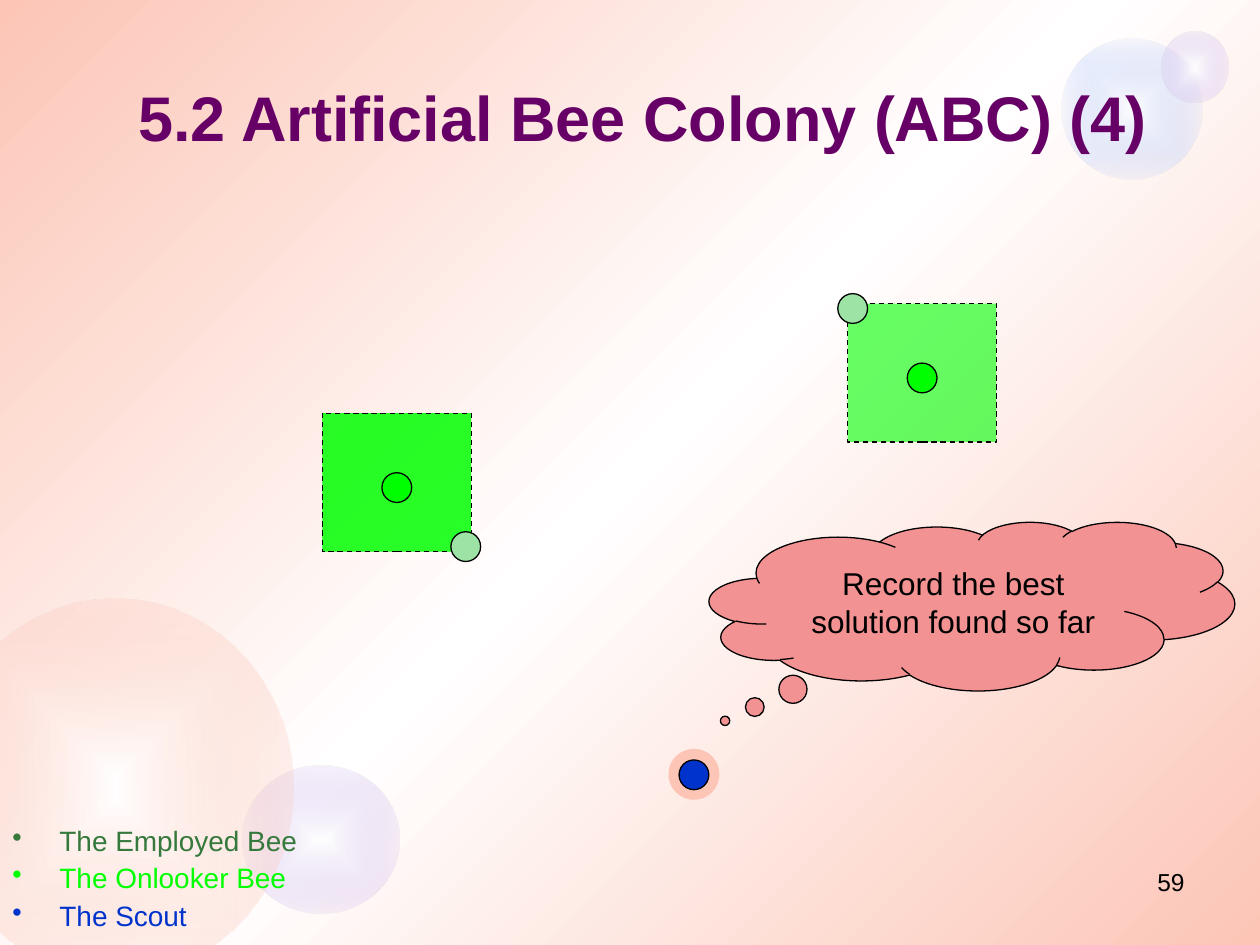
from dataclasses import dataclass
from typing import Optional

import lxml.etree
import pptx
import pptx.dml.color
import pptx.enum.dml
import pptx.enum.shapes
import pptx.enum.text
import pptx.oxml.ns
import pptx.util

Cm = pptx.util.Cm
Pt = pptx.util.Pt
qn = pptx.oxml.ns.qn
SHAPE = pptx.enum.shapes.MSO_SHAPE
ALIGN = pptx.enum.text.PP_ALIGN
ANCHOR = pptx.enum.text.MSO_ANCHOR


@dataclass(frozen=True)
class Theme:
    font: str = "Arial"
    title: str = "660066"
    ink: str = "000000"
    white: str = "FFFFFF"
    peach: str = "FCC5B6"
    lilac: str = "D1BCEE"
    sky: str = "A8C1FA"
    employed: str = "35793C"
    onlooker: str = "00FF00"
    scout: str = "0033CC"
    neighbour: str = "9DE3A5"
    thought: str = "F29292"
    title_size: int = 36
    thought_size: int = 18
    legend_size: int = 16
    number_size: int = 14
    outline: float = 0.75


@dataclass(frozen=True)
class Box:
    left: float
    top: float
    width: float
    height: float

    def lengths(self) -> tuple:
        return Cm(self.left), Cm(self.top), Cm(self.width), Cm(self.height)


@dataclass(frozen=True)
class Orb:
    box: Box
    colour: str
    opacity: int


@dataclass(frozen=True)
class FoodSite:
    left: float
    top: float
    layers: int
    neighbour_dx: float
    neighbour_dy: float


@dataclass(frozen=True)
class LegendEntry:
    text: str
    colour: str


THEME = Theme()
BEE = 0.6
SITE_WIDTH, SITE_HEIGHT = 3.0, 2.79
ONLOOKER_OFFSET = 1.2

ORBS = [
    Orb(Box(4.88, 15.44, 3.18, 2.97), THEME.lilac, 20),
    Orb(Box(-1.27, 12.07, 7.19, 7.62), THEME.peach, 24),
    Orb(Box(21.39, 0.79, 2.84, 2.82), THEME.sky, 10),
    Orb(Box(23.42, 0.64, 1.35, 1.42), THEME.lilac, 20),
]
SITES = [
    FoodSite(17.09, 6.12, 1, -0.2, -0.2),
    FoodSite(6.5, 8.33, 2, 2.59, 2.39),
]
LEGEND = [
    LegendEntry("The Employed Bee", THEME.employed),
    LegendEntry("The Onlooker Bee", THEME.onlooker),
    LegendEntry("The Scout", THEME.scout),
]


def rgb(colour: str) -> pptx.dml.color.RGBColor:
    return pptx.dml.color.RGBColor.from_string(colour)


def set_alpha(colour_element, percent: int) -> None:
    alpha = lxml.etree.SubElement(colour_element, qn("a:alpha"))
    alpha.set("val", str(percent * 1000))


def set_gradient(fill, owner, stops: list, angle: Optional[int] = None) -> None:
    fill.gradient()
    gradient = next(owner.iter(qn("a:gradFill")))
    for child in list(gradient):
        gradient.remove(child)
    stop_list = lxml.etree.SubElement(gradient, qn("a:gsLst"))
    for position, colour, opacity in stops:
        stop = lxml.etree.SubElement(stop_list, qn("a:gs"), pos=str(position * 1000))
        tint = lxml.etree.SubElement(stop, qn("a:srgbClr"), val=colour)
        if opacity < 100:
            set_alpha(tint, opacity)
    if angle is not None:
        lxml.etree.SubElement(gradient, qn("a:lin"), ang=str(angle * 60000), scaled="0")
    else:
        radial = lxml.etree.SubElement(gradient, qn("a:path"), {"path": "shape"})
        centre = {side: "50000" for side in "ltrb"}
        lxml.etree.SubElement(radial, qn("a:fillToRect"), centre)


def write(frame, text: str, *, size: float, colour: str = THEME.ink, bold: bool = False,
          align=ALIGN.LEFT, anchor=ANCHOR.TOP, bullet: bool = False,
          follows: bool = False) -> None:
    frame.word_wrap = True
    frame.vertical_anchor = anchor
    paragraph = frame.add_paragraph() if follows else frame.paragraphs[0]
    paragraph.alignment = align
    if bullet:
        paragraph.line_spacing = 0.9
        paragraph.space_before = Pt(4 if follows else 0)
        properties = paragraph._p.get_or_add_pPr()
        properties.set("marL", str(Cm(0.95)))
        properties.set("indent", str(Cm(-0.95)))
        lxml.etree.SubElement(properties, qn("a:buChar"), char="•")
    run = paragraph.add_run()
    run.text = text
    run.font.name = THEME.font
    run.font.size = Pt(size)
    run.font.bold = bold
    run.font.color.rgb = rgb(colour)


def add_text_box(slide, box: Box):
    return slide.shapes.add_textbox(*box.lengths()).text_frame


def add_figure(slide, kind, box: Box, colour: str, line: str = THEME.ink,
               opacity: int = 100, dashed: bool = False):
    figure = slide.shapes.add_shape(kind, *box.lengths())
    figure.shadow.inherit = False
    figure.fill.solid()
    figure.fill.fore_color.rgb = rgb(colour)
    if opacity < 100:
        set_alpha(next(figure.element.spPr.iter(qn("a:srgbClr"))), opacity)
    figure.line.color.rgb = rgb(line)
    figure.line.width = Pt(THEME.outline)
    if dashed:
        figure.line.dash_style = pptx.enum.dml.MSO_LINE.DASH
    return figure


def add_orb(slide, orb: Orb) -> None:
    sphere = slide.shapes.add_shape(SHAPE.OVAL, *orb.box.lengths())
    sphere.shadow.inherit = False
    sphere.line.fill.background()
    set_gradient(sphere.fill, sphere.element.spPr,
                 [(0, THEME.white, 100), (100, orb.colour, orb.opacity)])


def add_bee(slide, left: float, top: float, colour: str) -> None:
    add_figure(slide, SHAPE.OVAL, Box(left, top, BEE, BEE), colour)


def add_site(slide, site: FoodSite) -> None:
    area = Box(site.left, site.top, SITE_WIDTH, SITE_HEIGHT)
    for _ in range(site.layers):
        add_figure(slide, SHAPE.RECTANGLE, area, THEME.onlooker, opacity=60, dashed=True)
    add_bee(slide, site.left + ONLOOKER_OFFSET, site.top + ONLOOKER_OFFSET, THEME.onlooker)
    add_bee(slide, site.left + site.neighbour_dx, site.top + site.neighbour_dy,
            THEME.neighbour)


def main() -> None:
    deck = pptx.Presentation()
    deck.slide_width, deck.slide_height = Cm(25.4), Cm(19.05)
    slide = deck.slides.add_slide(deck.slide_layouts[6])
    set_gradient(slide.background.fill, slide.element,
                 [(0, THEME.peach, 100), (50, THEME.white, 100), (100, THEME.peach, 100)],
                 angle=45)
    for orb in ORBS:
        add_orb(slide, orb)

    write(add_text_box(slide, Box(18.85, 17.35, 5.28, 1.27)), "59",
          size=THEME.number_size, align=ALIGN.RIGHT)
    write(add_text_box(slide, Box(2.54, 0.76, 21.59, 3.18)),
          "5.2 Artificial Bee Colony (ABC) (4)", size=THEME.title_size,
          colour=THEME.title, bold=True, anchor=ANCHOR.MIDDLE)
    legend = add_text_box(slide, Box(0, 16.56, 6.35, 2.49))
    for index, entry in enumerate(LEGEND):
        write(legend, entry.text, size=THEME.legend_size, colour=entry.colour,
              bullet=True, follows=index > 0)

    for site in SITES:
        add_site(slide, site)
    add_figure(slide, SHAPE.OVAL, Box(13.49, 15.11, 1, 1), THEME.peach, line=THEME.peach)
    add_bee(slide, 13.69, 15.32, THEME.scout)
    thought = add_figure(slide, SHAPE.CLOUD_CALLOUT, Box(14.3, 10.52, 10.59, 3.4),
                         THEME.thought)
    thought.adjustments[0], thought.adjustments[1] = -0.47, 0.68
    write(thought.text_frame, "Record the best solution found so far",
          size=THEME.thought_size, align=ALIGN.CENTER, anchor=ANCHOR.MIDDLE)
    deck.save("out.pptx")


if __name__ == "__main__":
    main()
